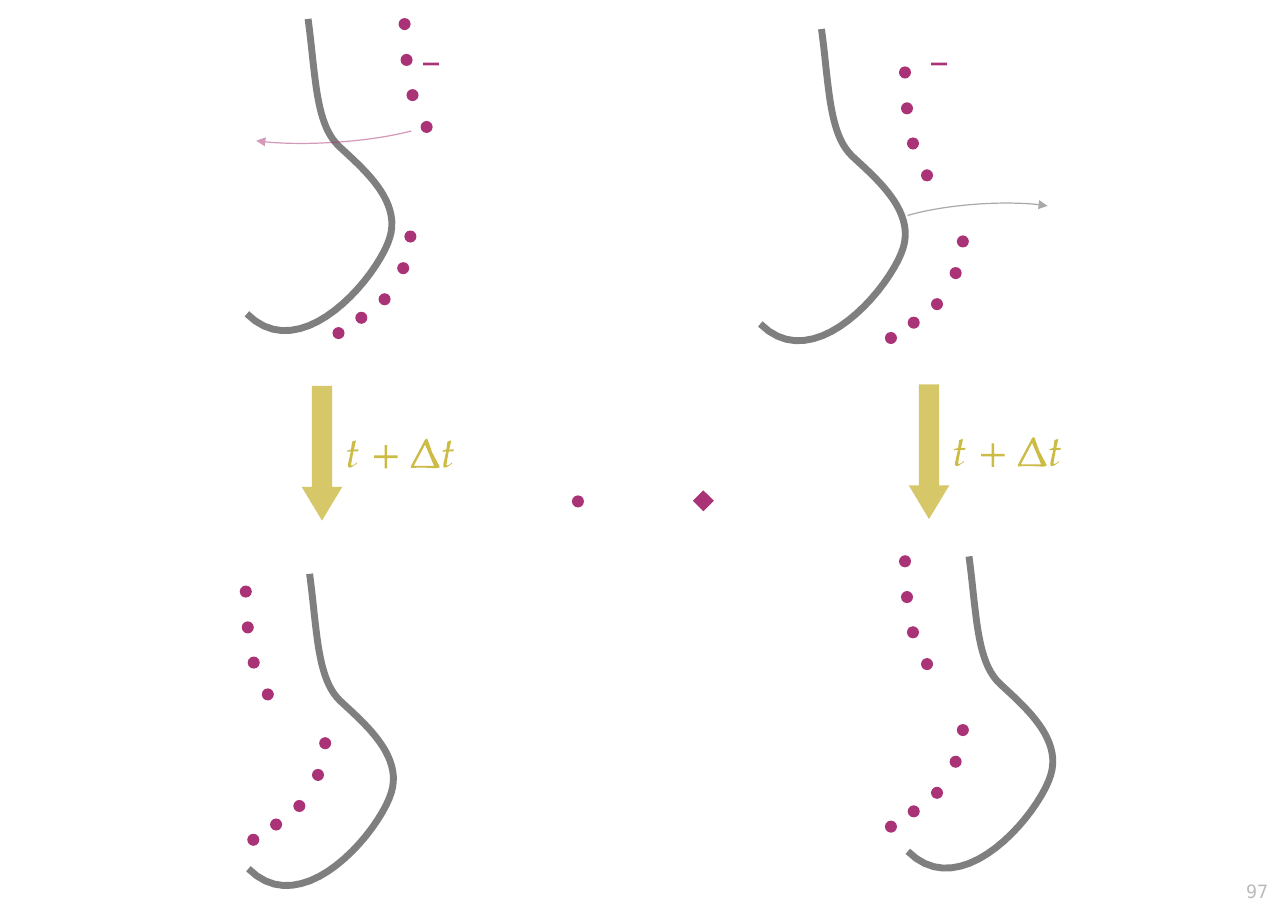
from lxml.etree import SubElement
from pptx import Presentation
from pptx.dml.color import RGBColor
from pptx.enum.shapes import MSO_SHAPE
from pptx.enum.text import PP_ALIGN
from pptx.oxml.ns import qn
from pptx.util import Pt

COLORS = {"dot": "AA3377", "curve": "555555", "time": "CCBB44", "number": "BBBBBB"}
DOT_SIZE = 7.9
CURVE_STEPS = 20

# Offsets from the start of the curve: three Bezier segments
CURVE = [
    [(0, 0), (5, 37), (4.7, 68.4), (20, 83)],
    [(20, 83), (35.6, 97.6), (61, 118.5), (53.4, 143)],
    [(53.4, 143), (46, 167.5), (-4, 228.5), (-40, 192.7)],
]
# Offsets from the first dot of each run
UPPER_DOTS = [(0, 0), (1.3, 23.4), (5.2, 46.4), (14.4, 67.2)]
LOWER_DOTS = [(0, 0), (-4.7, 20.7), (-16.9, 41), (-32.1, 53.1), (-47, 63.1)]

# Curve start, first upper dot and first lower dot of each scene
SCENES = [
    ((201.4, 12.4), (260.5, 11.8), (264.3, 150.6)),
    ((537, 19), (587.6, 43.4), (625.4, 153.8)),
    ((202.4, 375), (156.7, 382.6), (208.6, 481.7)),
    ((633.4, 363.6), (587.6, 362.8), (625.4, 473.1)),
]

# Outlines of the formula's symbols, each a list of contours
LETTER_T = [[
    (6.5, 15.1), (6.5, 14.4), (5, 15.7), (3.2, 16.6), (2.7, 15.8), (4, 8.6), (4.3, 7.2),
    (7.2, 7.2), (7.6, 5.9), (4.6, 6), (5.8, 0.6), (5.6, 0), (3.4, 0.9), (2.7, 5.9),
    (0, 6.8), (0, 7.4), (2.6, 7.2), (0.8, 15.1), (0.7, 17), (1.4, 17.8), (3, 17.5), (5.8, 15.6),
]]
PLUS = [[
    (15.3, 8.5), (15.3, 6.8), (8.5, 6.8), (8.5, 0), (6.8, 0), (6.8, 6.8),
    (0, 6.8), (0, 8.5), (6.8, 8.5), (6.8, 15.3), (8.5, 15.3), (8.5, 8.5),
]]
DELTA = [
    [(9.4, 0.6), (0, 18.2), (0, 19.2), (6.5, 18.9), (16.6, 19.3), (18.7, 18.9),
     (18.8, 18.2), (14, 9), (10.8, 0)],
    [(15.2, 17.8), (2.2, 17.8), (2.2, 17.4), (9.2, 4.2), (9.5, 4.2), (13, 12.4)],
]
# Each symbol with its offset from the block arrow
FORMULA = [(LETTER_T, 29.6, 35.6), (PLUS, 47.4, 38.6), (DELTA, 71.3, 34.4), (LETTER_T, 91.9, 35.6)]


def add_label(text, left, top, width, height, size, font, color):
    box = page.shapes.add_textbox(Pt(left), Pt(top), Pt(width), Pt(height))
    box.text_frame.word_wrap = True
    box.text_frame.text = text
    para = box.text_frame.paragraphs[0]
    span = para.runs[0]
    span.font.size = Pt(size)
    span.font.name = font
    span.font.color.rgb = RGBColor.from_string(COLORS[color])
    return para, span


def set_opacity(shape, percent):
    for color in shape.element.spPr.iter(qn("a:srgbClr")):
        SubElement(color, qn("a:alpha")).set("val", str(percent * 1000))


deck = Presentation()
deck.slide_width, deck.slide_height = Pt(841.89), Pt(595.28)
page = deck.slides.add_slide(deck.slide_layouts[6])
filled = []
outlined = []

# Scenes: a curve with two runs of dots
for curve_start, upper_start, lower_start in SCENES:
    scene = page.shapes.add_group_shape()
    left, top = curve_start
    points = []
    for segment in CURVE:
        for step in range(1, CURVE_STEPS + 1):
            t = step / CURVE_STEPS
            weights = [(1 - t) ** 3, 3 * t * (1 - t) ** 2, 3 * t**2 * (1 - t), t**3]
            x = left + sum(w * point[0] for w, point in zip(weights, segment))
            y = top + sum(w * point[1] for w, point in zip(weights, segment))
            points.append((Pt(x), Pt(y)))
    builder = scene.shapes.build_freeform(Pt(left), Pt(top))
    builder.add_line_segments(points, close=False)
    outlined.append((builder.convert_to_shape(), "curve", 4.5, 75))

    for (left, top), offsets in ((upper_start, UPPER_DOTS), (lower_start, LOWER_DOTS)):
        for dx, dy in offsets:
            dot = scene.shapes.add_shape(
                MSO_SHAPE.OVAL, Pt(left + dx), Pt(top + dy), Pt(DOT_SIZE), Pt(DOT_SIZE))
            filled.append((dot, "dot", 100))

# Time steps: a block arrow with its formula
for left, top in ((197.2, 252.2), (594, 251.2)):
    arrow = page.shapes.add_shape(MSO_SHAPE.DOWN_ARROW, Pt(left), Pt(top), Pt(26.5), Pt(88))
    arrow.adjustments[0] = 0.5
    arrow.adjustments[1] = 0.83
    filled.append((arrow, "time", 80))

    formula = page.shapes.add_group_shape()
    for contours, dx, dy in FORMULA:
        builder = None
        for contour in contours:
            start, *points = [(Pt(left + dx + x), Pt(top + dy + y)) for x, y in contour]
            if builder is None:
                builder = formula.shapes.build_freeform(*start)
            else:
                builder.move_to(*start)
            builder.add_line_segments(points, close=True)
        filled.append((builder.convert_to_shape(), "time", 100))

# Curved motion arrows
for left, top, width, rotation, start, end, color in (
    (149.8, 66.4, 138.4, 356.1, 6.42, 102.29, "dot"),
    (576, 133.4, 124.6, 175.7, 7.09, 101.77, "curve"),
):
    motion = page.shapes.add_shape(MSO_SHAPE.ARC, Pt(left), Pt(top), Pt(width), Pt(26.6))
    motion.adjustments[0] = start
    motion.adjustments[1] = end
    motion.rotation = rotation
    outlined.append((motion, color, 0.79, 50))

# Minus signs
for left in (270, 602):
    para, span = add_label("–", left, 23, 30, 36, 21, "TeX Gyre Pagella", "dot")
    span.font.bold = True

# Single dot and diamond in the middle
for kind, left, top, size in (
    (MSO_SHAPE.OVAL, 373.8, 323.7, DOT_SIZE),
    (MSO_SHAPE.DIAMOND, 452.9, 320.4, 13.7),
):
    marker = page.shapes.add_shape(kind, Pt(left), Pt(top), Pt(size), Pt(size))
    filled.append((marker, "dot", 100))

# Page number
para, span = add_label("97", 764, 571.7, 72, 21, 12, "DejaVu Sans Mono", "number")
para.alignment = PP_ALIGN.RIGHT

# Fills and lines
for shape, color, opacity in filled:
    shape.shadow.inherit = False
    shape.fill.solid()
    shape.fill.fore_color.rgb = RGBColor.from_string(COLORS[color])
    shape.line.fill.background()
    if opacity < 100:
        set_opacity(shape, opacity)

for shape, color, width, opacity in outlined:
    shape.shadow.inherit = False
    shape.fill.background()
    shape.line.color.rgb = RGBColor.from_string(COLORS[color])
    shape.line.width = Pt(width)
    set_opacity(shape, opacity)
    if width < 1:
        line = shape.element.spPr.find(qn("a:ln"))
        SubElement(line, qn("a:tailEnd")).set("type", "triangle")

deck.save("out.pptx")
